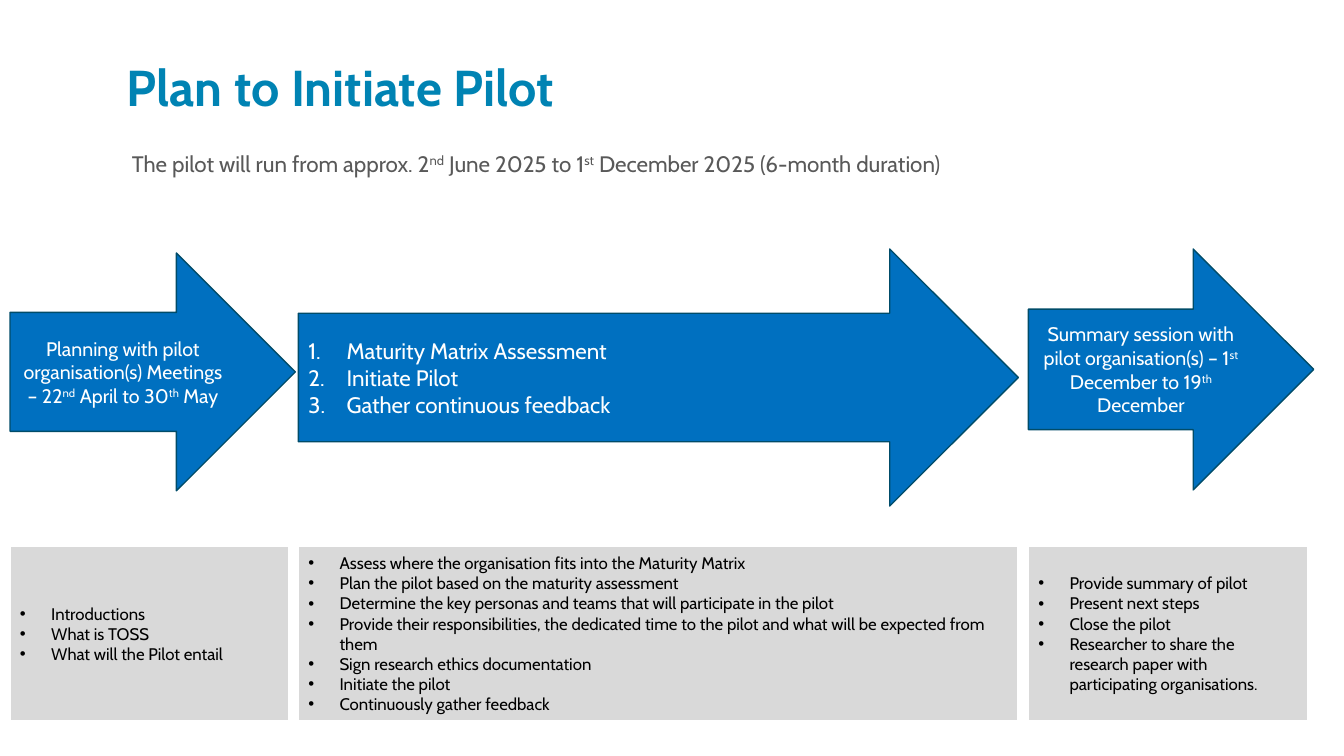
import pptx
import pptx.util
import pptx.dml.color
import pptx.enum.shapes
import pptx.enum.text
import pptx.oxml.ns
from lxml import etree

Inches, Pt = pptx.util.Inches, pptx.util.Pt
SHAPE = pptx.enum.shapes.MSO_SHAPE
ALIGN = pptx.enum.text.PP_ALIGN
ANCHOR = pptx.enum.text.MSO_ANCHOR

FONT = "Cabin"
HEX = {"title": "0083B3", "note": "595959", "arrow": "0070C0", "edge": "004C69",
       "box": "D9D9D9", "white": "FFFFFF", "black": "000000"}

# Three phase columns (left, width) and the rows they share
COLS = [(0.1, 2.77), (2.96, 7.14), (10.2, 2.77)]
BOX_TOP, BOX_HIGH = 5.42, 1.73

# Arrow per phase: top, width, height, text size, numbered, lines (^ marks superscript)
ARROWS = [
    (2.51, 2.83, 2.36, 14, False,
     ["Planning with pilot organisation(s) Meetings – 22^nd^ April to 30^th^ May"]),
    (2.47, 7.14, 2.55, 16, True,
     ["Maturity Matrix Assessment", "Initiate Pilot", "Gather continuous feedback"]),
    (2.47, 2.83, 2.39, 14, False,
     ["Summary session with pilot organisation(s) – 1^st^ December to 19^th^ December"]),
]
TASKS = [
    ["Introductions", "What is TOSS", "What will the Pilot entail"],
    ["Assess where the organisation fits into the Maturity Matrix",
     "Plan the pilot based on the maturity assessment",
     "Determine the key personas and teams that will participate in the pilot",
     "Provide their responsibilities, the dedicated time to the pilot "
     "and what will be expected from them",
     "Sign research ethics documentation",
     "Initiate the pilot",
     "Continuously gather feedback"],
    ["Provide summary of pilot", "Present next steps", "Close the pilot",
     "Researcher to share the research paper with participating organisations."],
]


def color(name):
    return pptx.dml.color.RGBColor.from_string(HEX[name])


def indent(para, left, first=0.0):
    props = para._p.get_or_add_pPr()
    props.set("marL", str(Inches(left)))
    props.set("indent", str(Inches(first)))
    return props


def bullet(para, hang, kind, **attrs):
    props = indent(para, hang, -hang)
    if kind == "buChar":
        font = etree.SubElement(props, pptx.oxml.ns.qn("a:buFont"))
        font.set("typeface", "Arial")
    mark = etree.SubElement(props, pptx.oxml.ns.qn("a:" + kind))
    for key, value in attrs.items():
        mark.set(key, value)


def write(frame, lines, size, ink, bold=False, align=ALIGN.LEFT, anchor=ANCHOR.MIDDLE):
    """Fill a frame, one paragraph a line, and return the paragraphs."""
    frame.word_wrap = True
    frame.vertical_anchor = anchor
    for i, line in enumerate(lines):
        para = frame.paragraphs[0] if i == 0 else frame.add_paragraph()
        para.alignment = align
        for j, part in enumerate(line.split("^")):
            run = para.add_run()
            run.text = part
            run.font.name, run.font.size, run.font.bold = FONT, Pt(size), bold
            run.font.color.rgb = color(ink)
            if j % 2:
                run._r.get_or_add_rPr().set("baseline", "30000")
    return frame.paragraphs


def label(slide, area, text, size, ink, **style):
    box = slide.shapes.add_textbox(*map(Inches, area))
    return write(box.text_frame, [text], size, ink, **style)[0]


def block(slide, kind, area, fill, edge, width):
    shape = slide.shapes.add_shape(kind, *map(Inches, area))
    shape.shadow.inherit = False
    shape.fill.solid()
    shape.fill.fore_color.rgb = color(fill)
    shape.line.color.rgb = color(edge)
    shape.line.width = Pt(width)
    return shape.text_frame


def phase(slide, left, top, wide, high, size, listed, lines):
    frame = block(slide, SHAPE.RIGHT_ARROW, (left, top, wide, high), "arrow", "edge", 1)
    align = ALIGN.LEFT if listed else ALIGN.CENTER
    for para in write(frame, lines, size, "white", align=align):
        if listed:
            bullet(para, 0.38, "buAutoNum", type="arabicPeriod")


def tasks(slide, left, wide, lines):
    area = (left, BOX_TOP, wide, BOX_HIGH)
    frame = block(slide, SHAPE.RECTANGLE, area, "box", "white", 1.5)
    for para in write(frame, lines, 12, "black"):
        bullet(para, 0.31, "buChar", char="•")


def main():
    deck = pptx.Presentation()
    deck.slide_width, deck.slide_height = Inches(13.33), Inches(7.5)
    slide = deck.slides.add_slide(deck.slide_layouts[6])

    # Heading and duration
    title = label(slide, (1.16, 0.58, 9.5, 0.62), "Plan to Initiate Pilot",
                  36, "title", bold=True, anchor=ANCHOR.BOTTOM)
    title.line_spacing = 0.8
    note = label(slide, (1.16, 1.25, 11.64, 0.71),
                 "The pilot will run from approx. 2^nd^ June 2025 to 1^st^ December 2025 "
                 "(6-month duration)", 16, "note", anchor=ANCHOR.TOP)
    note.line_spacing = 1.7
    indent(note, 0.05)

    # Phase arrows above their task boxes
    for (left, wide), arrow, lines in zip(COLS, ARROWS, TASKS):
        phase(slide, left, *arrow)
        tasks(slide, left, wide, lines)

    deck.save("out.pptx")


if __name__ == "__main__":
    main()
